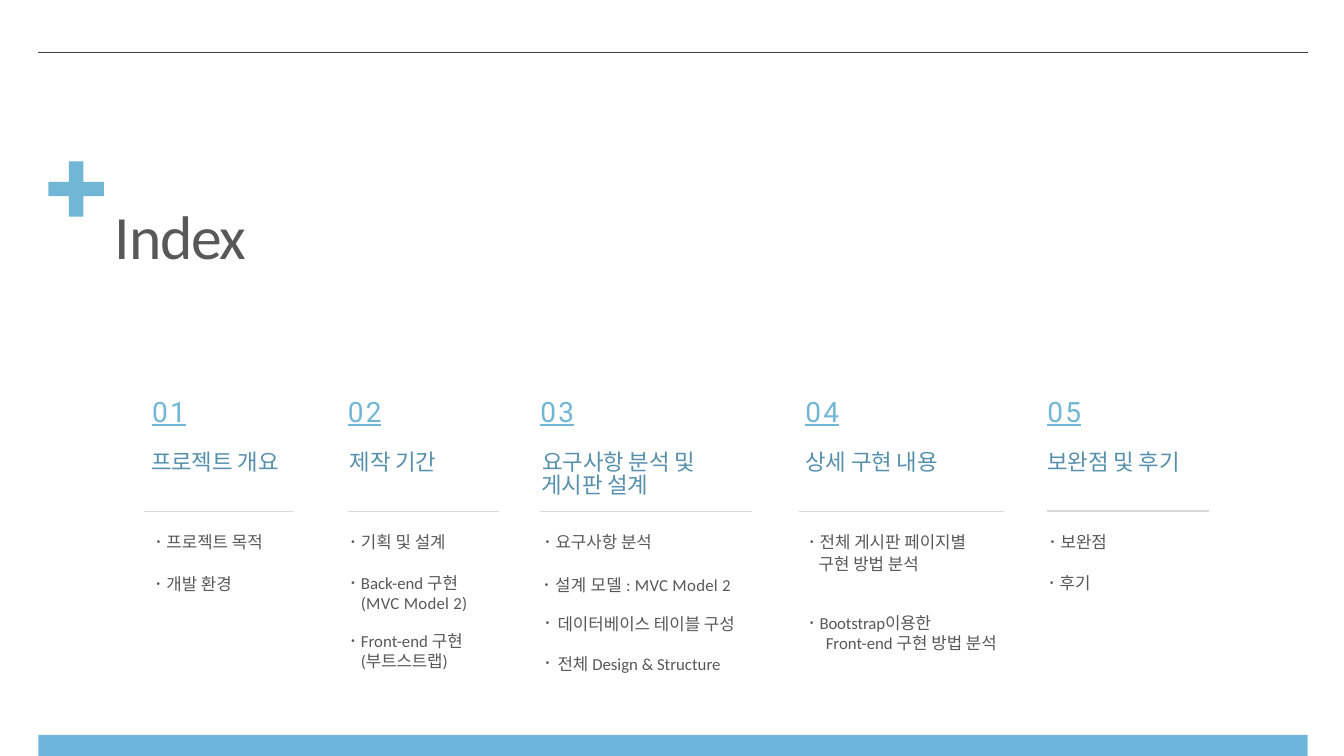
from lxml.etree import SubElement
from pptx import Presentation
from pptx.dml.color import RGBColor
from pptx.enum.shapes import MSO_CONNECTOR, MSO_SHAPE
from pptx.enum.text import MSO_ANCHOR, MSO_AUTO_SIZE, PP_ALIGN
from pptx.oxml import parse_xml
from pptx.oxml.ns import nsdecls, qn
from pptx.util import Inches, Pt

COLORS = {"accent": "71B6D4", "bar": "6EB5DC", "heading": "5790AC",
          "text": "585858", "rule": "404040", "divider": "D9D9D9"}
DOT = "･ "
DOT_FONT = "Roboto"
NO_STYLE = "{2D5ABB26-0587-4C30-8999-92F81FD0307C}"

# number, heading, first item, width, gap after, indents of the three, divider points
COLUMNS = [
    ("01", "프로젝트 개요", "프로젝트 목적", 1.49, 0.53, (0.08, 0.07, 0.1), 0.5),
    ("02", "제작 기간", "기획 및 설계", 1.5, 0.41, (0, 0.02, 0.01), 0.5),
    ("03", "요구사항 분석 및", "요구사항 분석", 2.1, 0.47, (0, 0.02, 0.03), 0.5),
    ("04", "상세 구현 내용", "전체 게시판 페이지별", 2.03, 0.43, (0.06, 0.06, 0.08), 0.5),
    ("05", "보완점 및 후기", "보완점", 1.6, 0, (0, 0, 0.01), 2.25),
]
ROWS = [0.42, 0.74, 0.44]

# box, then paragraphs as (text, format)
NOTES = [
    ((1.52, 5.68, 0.9, 0.23), [(DOT + "개발 환경", {"before": 1})]),
    ((3.45, 5.67, 1.3, 1.01), [
        (DOT + "Back-end 구현", {"line": 14.3, "before": 1}),
        ("(MVC Model 2)", {"line": 14.3, "indent": 0.13, "spc": 0.2}),
        (DOT + "Front-end 구현", {"line": 14.3, "before": 13}),
        ("(부트스트랩)", {"line": 14.3, "indent": 0.13, "spc": -0.1})]),
    ((5.36, 4.66, 1.22, 0.29), [
        ("게시판 설계", {"size": 16, "color": "heading", "spc": -0.1, "before": 0.9})]),
    ((5.37, 5.69, 2.12, 1.02), [
        (DOT + "설계 모델 : MVC Model 2", {"before": 1, "spc": 0.2}),
        ("데이터베이스 테이블 구성", {"before": 13.6, "indent": 0.16, "bullet": True}),
        ("전체 Design & Structure", {"before": 14.3, "indent": 0.16, "bullet": True})]),
    ((8.11, 5.48, 1.15, 0.23), [("구현 방법 분석", {"before": 1})]),
    ((8, 6.07, 2.12, 0.43), [
        (DOT + "Bootstrap이용한", {"line": 14.3, "before": 1, "spc": -0.1}),
        ("Front-end 구현 방법 분석", {"line": 14.3, "indent": 0.19})]),
    ((10.38, 5.67, 0.5, 0.23), [(DOT + "후기", {"before": 1})]),
]


def rgb(name):
    return RGBColor.from_string(COLORS[name])


def write(p, text, size=12, color="text", font="Calibri", spc=0, indent=0.01,
          before=0, line=None, underline=False, bullet=False):
    """Fill a paragraph; a leading dot gets a run of its own in the dot font."""
    p.alignment = PP_ALIGN.LEFT
    p.space_before = Pt(before)
    if line:
        p.line_spacing = Pt(line)
    pPr = p._p.get_or_add_pPr()
    pPr.set("marL", str(Inches(indent)))
    pPr.set("indent", str(Inches(-0.14 if bullet else 0)))
    if bullet:
        SubElement(pPr, qn("a:buFont")).set("typeface", DOT_FONT)
        SubElement(pPr, qn("a:buChar")).set("char", DOT.strip())
    runs = [(text, font)]
    if text.startswith(DOT):
        runs = [(DOT, DOT_FONT), (text[len(DOT):], font)]
    for part, face in runs:
        r = p.add_run()
        r.text = part
        r.font.size = Pt(size)
        r.font.name = face
        r.font.color.rgb = rgb(color)
        r.font.underline = underline
        r._r.get_or_add_rPr().set("spc", str(round(spc * 100)))


def set_margins(target, top):
    target.margin_left = target.margin_right = target.margin_bottom = 0
    target.margin_top = Inches(top)


def add_filled(s, shape, box, color):
    sp = s.shapes.add_shape(shape, *map(Inches, box))
    sp.shadow.inherit = False
    sp.fill.solid()
    sp.fill.fore_color.rgb = rgb(color)
    sp.line.fill.background()
    return sp


def add_frame(s, left, width):
    """Draw the rule at the top and the bar at the bottom."""
    rule = s.shapes.add_connector(MSO_CONNECTOR.STRAIGHT, Inches(left), Inches(0.52),
                                  Inches(left + width), Inches(0.52))
    rule.line.color.rgb = rgb("rule")
    rule.line.width = Pt(0.5)
    SubElement(rule._element.spPr, qn("a:effectLst"))
    add_filled(s, MSO_SHAPE.RECTANGLE, (left, 7.29, width, 0.21), "bar")


def add_title(s, left, top):
    cross = add_filled(s, MSO_SHAPE.CROSS, (left, top, 0.55, 0.55), "accent")
    cross.adjustments[0] = 0.37
    title = s.shapes.title
    title.left, title.top = Inches(left + 0.65), Inches(top + 0.35)
    title.width, title.height = Inches(1.53), Inches(0.76)
    tf = title.text_frame
    tf.auto_size = MSO_AUTO_SIZE.NONE
    tf.vertical_anchor = MSO_ANCHOR.TOP
    set_margins(tf, 0.01)
    write(tf.paragraphs[0], "Index", size=44, spc=-0.9, before=1.1)


def add_divider(cell, points):
    border = (f'<a:lnB {nsdecls("a")} w="{Pt(points)}"><a:solidFill>'
              f'<a:srgbClr val="{COLORS["divider"]}"/></a:solidFill></a:lnB>')
    cell._tc.get_or_add_tcPr().insert(0, parse_xml(border))


def add_index(s, left, top):
    """Place the table of numbers, headings and first items."""
    widths = [w for column in COLUMNS for w in column[3:5]][:-1]
    table = s.shapes.add_table(len(ROWS), len(widths), Inches(left), Inches(top),
                               Inches(sum(widths)), Inches(sum(ROWS))).table
    table.first_row = table.horz_banding = False
    table._tbl.tblPr.find(qn("a:tableStyleId")).text = NO_STYLE
    for column, width in zip(table.columns, widths):
        column.width = Inches(width)
    for row, height in zip(table.rows, ROWS):
        row.height = Inches(height)
    for cell in table.iter_cells():
        cell.fill.background()
    formats = [
        (0.02, {"size": 20, "color": "accent", "font": "Roboto", "spc": 1.6,
                "before": 1.8, "underline": True}),
        (0.08, {"size": 16, "color": "heading", "spc": -0.1, "before": 5.2}),
        (0.22, {"line": 14.2}),
    ]
    for i, (number, heading, item, _, _, indents, points) in enumerate(COLUMNS):
        texts = (number, heading, DOT + item)
        for row, (text, indent, (margin, fmt)) in enumerate(zip(texts, indents, formats)):
            cell = table.cell(row, 2 * i)
            set_margins(cell, margin)
            write(cell.text_frame.paragraphs[0], text, indent=indent, **fmt)
        add_divider(table.cell(1, 2 * i), points)


def add_note(s, box, paragraphs):
    tf = s.shapes.add_textbox(*map(Inches, box)).text_frame
    tf.word_wrap = True
    set_margins(tf, 0.01)
    for i, (text, fmt) in enumerate(paragraphs):
        write(tf.add_paragraph() if i else tf.paragraphs[0], text, **fmt)


def main():
    prs = Presentation()
    prs.slide_width, prs.slide_height = Inches(13.33), Inches(7.5)
    s = prs.slides.add_slide(prs.slide_layouts[5])
    add_frame(s, 0.38, 12.59)
    add_title(s, 0.48, 1.6)
    add_index(s, 1.43, 3.91)
    for box, paragraphs in NOTES:
        add_note(s, box, paragraphs)
    prs.save("out.pptx")


if __name__ == "__main__":
    main()
